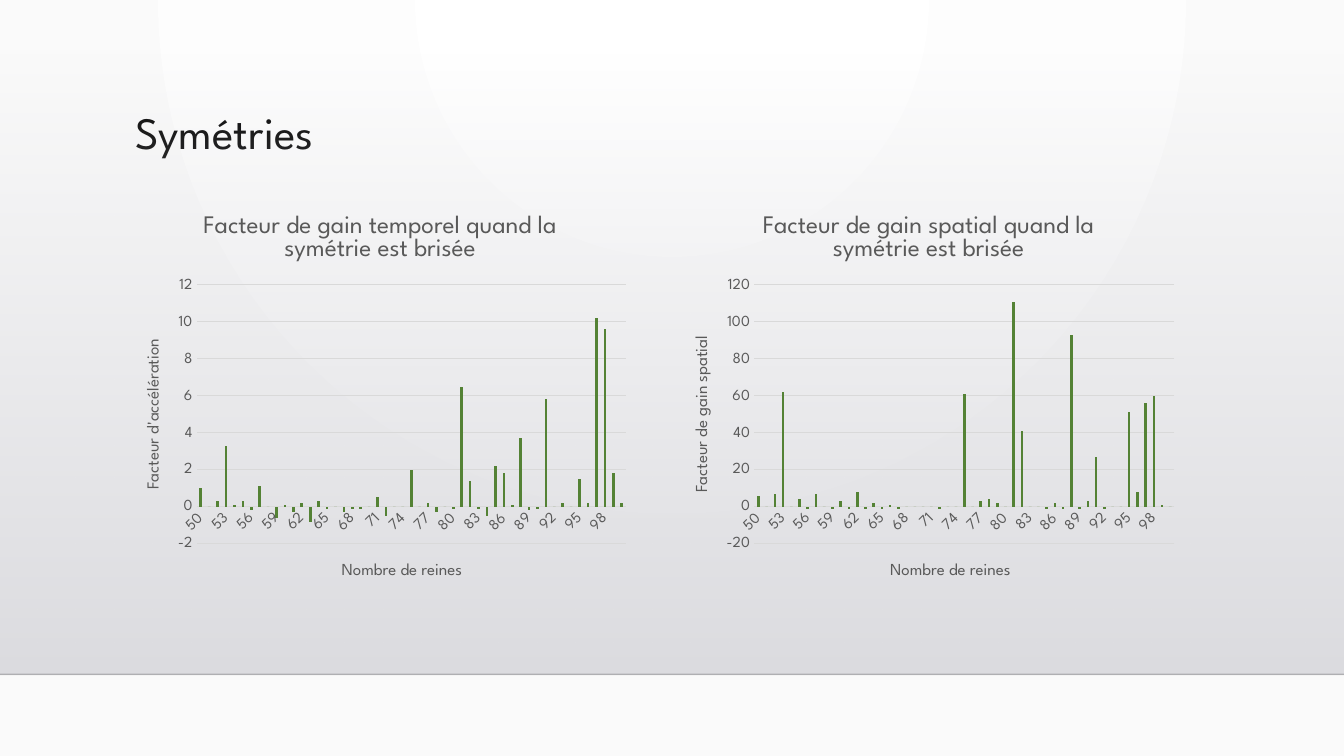
from lxml.etree import fromstring, SubElement as Sub
from pptx import Presentation
from pptx.chart.data import CategoryChartData as Data
from pptx.dml.color import RGBColor as RGB
from pptx.enum.chart import XL_CHART_TYPE as Kind, XL_TICK_MARK as Tick
from pptx.enum.shapes import MSO_CONNECTOR as Conn, MSO_SHAPE as Shape
from pptx.enum.text import MSO_ANCHOR as Anchor, PP_ALIGN as Align
from pptx.oxml.ns import nsdecls, qn
from pptx.util import Inches, Pt

FONT = "League Spartan"
BLACK = RGB(0x00, 0x00, 0x00)
INK = RGB(0x00, 0x00, 0x01)
GRAY = RGB(0x59, 0x59, 0x59)
RULE = RGB(0xD9, 0xD9, 0xD9)
GREEN = RGB(0x54, 0x82, 0x35)
WHITE = RGB(0xFF, 0xFF, 0xFF)
PALE = RGB(0xFA, 0xFA, 0xFA)
MIST = RGB(0xDC, 0xDC, 0xE0)
HAZE = RGB(0xDE, 0xDE, 0xE2)
RADIAL = ('<a:path path="circle"><a:fillToRect l="43000" r="43000" '
          'b="100000"/></a:path>')
DOWN = '<a:lin ang="5400000" scaled="0"/>'

QUEENS = range(50, 101)
TIME = [
    1, 0, 0.3, 3.3, 0.1, 0.3, -0.2, 1.1, 0, -0.6, 0.1, -0.3, 0.2, -0.8, 0.3,
    -0.1, 0, -0.3, -0.1, -0.1, 0, 0.5, -0.5, 0, 0, 2, 0, 0.2, -0.3, 0, -0.1,
    6.5, 1.4, -0.1, -0.5, 2.2, 1.8, 0.1, 3.7, -0.2, -0.1, 5.8, 0, 0.2, 0, 1.5,
    0.2, 10.2, 9.6, 1.8, 0.2]
SPACE = [
    6, 0, 7, 62, 0, 4, -1, 7, 0, -1, 3, -1, 8, -1, 2, -1, 1, -1, 0, 0, 0, 0,
    -1, 0, 0, 61, 0, 3, 4, 2, 0, 111, 41, 0, 0, -1, 2, -1, 93, -1, 3, 27, -1,
    0, 0, 51, 8, 56, 60, 1, 0]


def style(font, size, color):
    font.name, font.size, font.bold = FONT, Pt(size), False
    font.color.rgb = color


def write(frame, text, size=12, color=GRAY, align=None, space=None):
    frame.text = text
    para = frame.paragraphs[0]
    para.alignment = align
    para.line_spacing = space
    style(para.runs[0].font, size, color)


def blend(fill, stops, shade):
    fill.gradient()
    marks = "".join(
        f'<a:gs pos="{pos * 1000}"><a:srgbClr val="{color}">'
        f'<a:alpha val="{alpha * 1000}"/></a:srgbClr></a:gs>'
        for pos, color, alpha in stops)
    return fromstring(f'<a:gradFill {nsdecls("a")} rotWithShape="1">'
                      f'<a:gsLst>{marks}</a:gsLst>{shade}</a:gradFill>')


def swap(root, new):
    old = root.find(".//" + qn("a:gradFill"))
    old.getparent().replace(old, new)


def add_back(slide):
    back = slide.background
    new = blend(back.fill, [(0, WHITE, 100), (100, PALE, 100)], RADIAL)
    swap(slide.element, new)
    wall = slide.shapes.add_shape(
        Shape.RECTANGLE, 0, Inches(0.51), Inches(13.33), Inches(6.18))
    wall.shadow.inherit = False
    wall.line.fill.background()
    new = blend(wall.fill, [(0, MIST, 0), (100, HAZE, 100)], DOWN)
    swap(wall.element, new)


def add_floor(slide):
    edge = slide.shapes.add_connector(
        Conn.STRAIGHT, 0, Inches(6.69), Inches(13.33), Inches(6.69))
    edge.line.color.rgb = INK
    edge.line.width = Pt(1)
    tint = edge.element.find(".//" + qn("a:srgbClr"))
    Sub(tint, qn("a:alpha")).set("val", "20000")
    Sub(edge.element.spPr, qn("a:effectLst"))


def add_title(slide, text):
    title = slide.shapes.title
    title.left, title.top = Inches(1.24), Inches(1.05)
    title.width, title.height = Inches(10.5), Inches(1.16)
    frame = title.text_frame
    frame.vertical_anchor = Anchor.TOP
    write(frame, text, size=32, color=BLACK, align=Align.LEFT, space=0.9)


def set_axis(axis, text):
    write(axis.axis_title.text_frame, text)
    axis.major_tick_mark = axis.minor_tick_mark = Tick.NONE
    style(axis.tick_labels.font, 11, GRAY)


def add_plot(slide, left, title, label, vals, low, high, step):
    data = Data()
    data.categories = [str(n) for n in QUEENS]
    data.add_series("Series 1", vals)
    chart = slide.shapes.add_chart(
        Kind.COLUMN_CLUSTERED, Inches(left), Inches(1.93), Inches(5.08),
        Inches(4.04), data).chart
    style(chart.font, 10, BLACK)
    chart.has_legend = False
    write(chart.chart_title.text_frame, title, size=18)

    cat, val = chart.category_axis, chart.value_axis
    set_axis(cat, "Nombre de reines")
    set_axis(val, label)
    cat.format.line.color.rgb = RULE
    cat.format.line.width = Pt(0.75)
    val.format.line.fill.background()
    val.minimum_scale, val.maximum_scale = low, high
    val.major_unit = step
    grid = val.major_gridlines.format.line
    grid.color.rgb = RULE
    grid.width = Pt(0.75)

    plot = chart.plots[0]
    plot.gap_width, plot.overlap = 219, -27
    plot.vary_by_categories = False
    bars = plot.series[0]
    bars.invert_if_negative = False
    bars.format.fill.solid()
    bars.format.fill.fore_color.rgb = GREEN


def main():
    deck = Presentation()
    deck.slide_width, deck.slide_height = Inches(13.33), Inches(7.5)
    slide = deck.slides.add_slide(deck.slide_layouts[5])
    add_back(slide)
    add_floor(slide)
    add_title(slide, "Symétries")
    add_plot(slide, 1.23, "Facteur de gain temporel quand la symétrie est brisée",
             "Facteur d'accélération", TIME, -2, 12, 2)
    add_plot(slide, 6.67, "Facteur de gain spatial quand la symétrie est brisée",
             "Facteur de gain spatial", SPACE, -20, 120, 20)
    deck.save("out.pptx")


if __name__ == "__main__":
    main()
